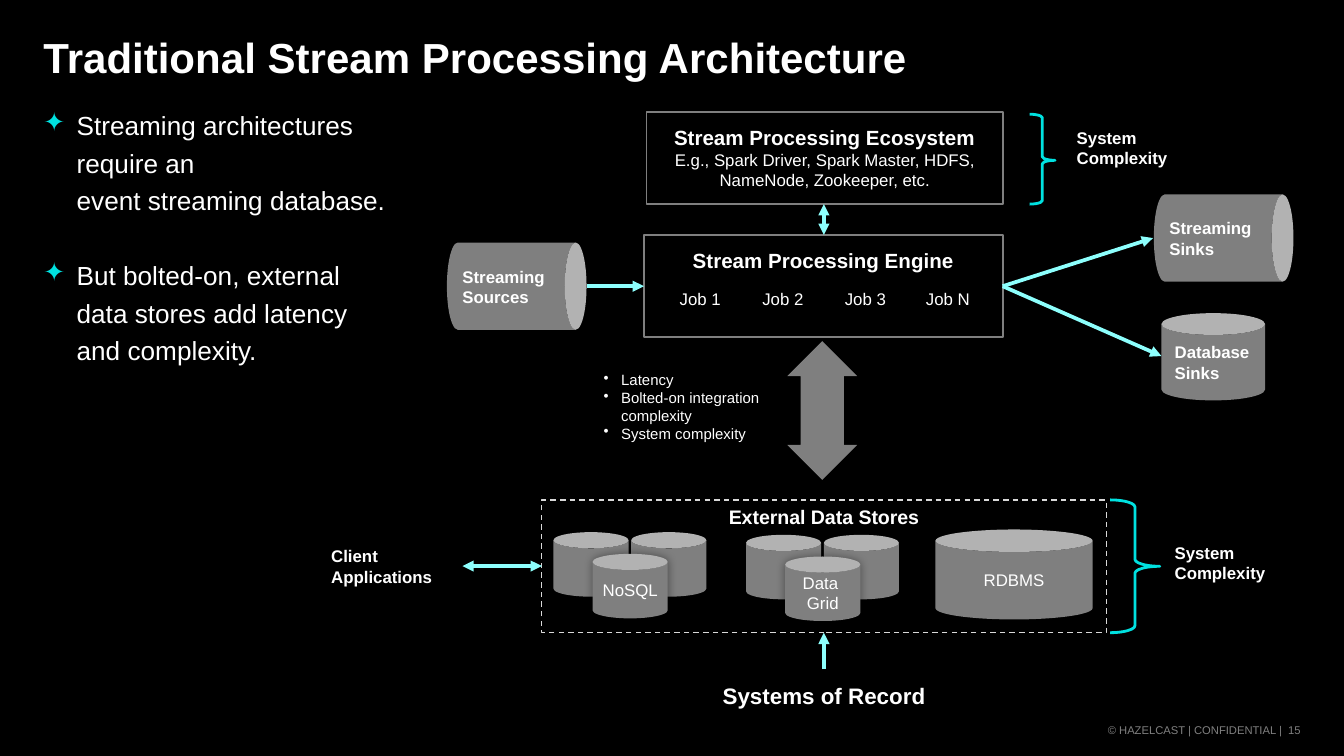
from lxml import etree
from pptx import Presentation
from pptx import util as u
from pptx.dml.color import RGBColor
from pptx.enum import dml, shapes, text
from pptx.oxml.ns import qn

# Content: sizes in points, places in cm (left, top, width, height)
HUE = {"back": "000000", "text": "FFFFFF", "gray": "7F7F7F", "note": "808080",
       "cyan": "00E1E0", "line": "8DFFFD", "dash": "D8D8D8"}
FONT = "Arial"
KIND = shapes.MSO_SHAPE
TITLE = "Traditional Stream Processing Architecture"
POINTS = ["Streaming architectures require an\nevent streaming database.",
          "But bolted-on, external data stores add latency and complexity."]
COSTS = ["Latency", "Bolted-on integration complexity", "System complexity"]
JOBS = ["Job 1", "Job 2", "Job 3", "Job N"]
BOXES = [
    ((12.22, 2.11, 6.73, 1.75), [
        ("Stream Processing Ecosystem", 11, True),
        ("E.g., Spark Driver, Spark Master, HDFS, NameNode, Zookeeper, etc.", 9, False)]),
    ((12.17, 4.44, 6.78, 1.93), [("Stream Processing Engine", 11, True)]),
]
BRACES = [  # place, tip, label place
    ((19.46, 2.16, 0.48, 1.7), 0.513, (20.17, 2.31, 2.64, 0.97)),
    ((20.98, 9.45, 0.94, 2.51), 0.5, (22.02, 10.16, 2.64, 0.97)),
]
PIPES = [("Streaming Sinks", 22.3, 3.18), ("Streaming Sources", 8.94, 4.09)]
STACKS = [("NoSQL", 10.46, 10.06), ("Data \nGrid", 14.1, 10.11)]
ARROWS = [  # x1, y1, x2, y2, double
    (11.1, 5.41, 12.17, 5.41, False),
    (18.95, 5.41, 21.79, 4.5, False),
    (18.95, 5.41, 21.95, 6.73, False),
    (15.57, 3.86, 15.57, 4.44, True),
    (15.57, 12.65, 15.57, 11.96, False),
    (8.74, 10.7, 10.24, 10.7, True),
]
LEFT, MID, RIGHT = text.PP_ALIGN.LEFT, text.PP_ALIGN.CENTER, text.PP_ALIGN.RIGHT
TOP, HALF = text.MSO_ANCHOR.TOP, text.MSO_ANCHOR.MIDDLE
PAD = (0.18, 0.1, 0.18, 0.1)
WIDE = (0.25,) * 4
NONE = (0,) * 4

deck = Presentation()
deck.slide_width, deck.slide_height = u.Cm(25.4), u.Cm(14.29)
slide = deck.slides.add_slide(deck.slide_layouts[5])
slide.background.fill.solid()
slide.background.fill.fore_color.rgb = RGBColor.from_string(HUE["back"])


def paint(fill, hue):
    fill.solid()
    fill.fore_color.rgb = RGBColor.from_string(HUE[hue])


def write(shape, rows, align=LEFT, anchor=TOP, pad=PAD, hue="text",
          mark=None, space=None, gap=0):
    """Fill a shape with (text, size, bold) rows; mark is (sign, hue, indent)."""
    frame = shape.text_frame
    frame.word_wrap, frame.vertical_anchor = True, anchor
    frame.auto_size = text.MSO_AUTO_SIZE.NONE
    (frame.margin_left, frame.margin_top,
     frame.margin_right, frame.margin_bottom) = map(u.Cm, pad)
    for i, (words, size, bold) in enumerate(rows):
        para = frame.add_paragraph() if i else frame.paragraphs[0]
        para.alignment, para.line_spacing = align, space
        para.space_before = u.Pt(gap if i else 0)
        if mark:
            sign, tint, dent = mark
            props = para._p.get_or_add_pPr()
            props.set("marL", str(u.Cm(dent)))
            props.set("indent", str(-u.Cm(dent)))
            color = etree.SubElement(props, qn("a:buClr"))
            etree.SubElement(color, qn("a:srgbClr"), val=HUE[tint])
            etree.SubElement(props, qn("a:buChar"), char=sign)
        for j, part in enumerate(words.split("\n")):
            if j:
                para.add_line_break()
            run = para.add_run()
            run.text = part
            run.font.name, run.font.size, run.font.bold = FONT, u.Pt(size), bold
            run.font.color.rgb = RGBColor.from_string(HUE[hue])


def label(place, rows, **style):
    box = slide.shapes.add_textbox(*map(u.Cm, place))
    write(box, rows, **style)


def draw(kind, place, fill=None, line=None, width=1):
    shape = slide.shapes.add_shape(kind, *map(u.Cm, place))
    shape.shadow.inherit = False
    if fill:
        paint(shape.fill, fill)
    else:
        shape.fill.background()
    if line:
        paint(shape.line.fill, line)
        shape.line.width = u.Pt(width)
    else:
        shape.line.fill.background()
    return shape


def can(place, words=None, shade=False, **style):
    shape = draw(KIND.CAN, place, "gray")
    if shade:
        glow = etree.SubElement(shape._element.spPr.find(qn("a:effectLst")),
                                qn("a:outerShdw"), blurRad=str(u.Pt(5)))
        color = etree.SubElement(glow, qn("a:srgbClr"), val=HUE["back"])
        etree.SubElement(color, qn("a:alpha"), val="40000")
    if words:
        write(shape, [(words, 9, not shade)], anchor=HALF, **style)
    return shape


def arrow(x1, y1, x2, y2, double):
    link = slide.shapes.add_connector(
        shapes.MSO_CONNECTOR.STRAIGHT, *map(u.Cm, (x1, y1, x2, y2)))
    paint(link.line.fill, "line")
    link.line.width = u.Pt(2)
    for end in ("headEnd", "tailEnd") if double else ("tailEnd",):
        etree.SubElement(link.line._get_or_add_ln(), qn("a:" + end), type="triangle")
    etree.SubElement(link._element.spPr, qn("a:effectLst"))


# Title, main points and footer
title = slide.shapes.title
title.left, title.top, title.width, title.height = map(u.Cm, (0.64, 0.64, 24.13, 0.99))
write(title, [(TITLE, 22.5, True)], anchor=HALF, space=0.9)
label((0.64, 1.85, 6.86, 11.38), [(p, 14, False) for p in POINTS],
      mark=("✦", "cyan", 0.63), space=1.2, gap=20)
label((17.88, 13.59, 6.88, 0.43), [("© HAZELCAST | CONFIDENTIAL |  15", 6, False)],
      align=RIGHT, anchor=HALF, hue="note")

# Engine, its ecosystem and jobs
for place, rows in BOXES:
    write(draw(KIND.RECTANGLE, place, "back", "gray"), rows, align=MID, pad=WIDE)
for i, job in enumerate(JOBS):
    label((12.6 + 1.56 * i, 5.32, 1.27, 0.66), [(job, 9, False)], align=MID, anchor=HALF)

# Link between engine and stores, with its costs
link = draw(KIND.UP_DOWN_ARROW, (14.88, 6.45, 1.32, 2.62), "gray")
link.adjustments[0], link.adjustments[1] = 0.588, 0.621
label((11.23, 6.91, 3.84, 1.55), [(c, 8, False) for c in COSTS], mark=("•", "text", 0.33))

# External stores
frame = draw(KIND.RECTANGLE, (10.24, 9.45, 10.67, 2.51), None, "dash", 0.75)
frame.line.dash_style = dml.MSO_LINE.DASH
write(frame, [("External Data Stores", 10.5, True)], align=MID)
for name, x, y in STACKS:
    for step in (1.47, 0):
        can((x + step, y, 1.42, 1.22))
    can((x + 0.74, y + 0.41, 1.42, 1.22), name, True, align=MID, pad=NONE)
can((17.68, 10.01, 2.97, 1.7), "RDBMS", True, align=MID, pad=NONE)

# Sources and sinks
for name, x, y in PIPES:
    can((x, y, 1.65, 2.64)).rotation = 90
    label((x - 0.3, y + 0.5, 2.03, 1.65), [(name, 9, True)], anchor=HALF, pad=(0.1,) * 4)
can((21.95, 5.92, 1.96, 1.65), "Database Sinks", pad=(0.25, 0.1, 0.1, 0.1))

# Braces and outer labels
for place, tip, spot in BRACES:
    brace = draw(KIND.RIGHT_BRACE, place, None, "cyan", 1.5)
    brace.adjustments[0], brace.adjustments[1] = 0.14, tip
    label(spot, [("System Complexity", 9, True)])
label((6.26, 9.93, 2.06, 1.55), [("Client", 9, True), ("Applications", 9, True)],
      anchor=HALF, pad=NONE)
label((10.24, 12.65, 10.67, 1.02), [("Systems of Record", 12, True)], align=MID, pad=WIDE)

# Flow arrows
for ends in ARROWS:
    arrow(*ends)

deck.save("out.pptx")
